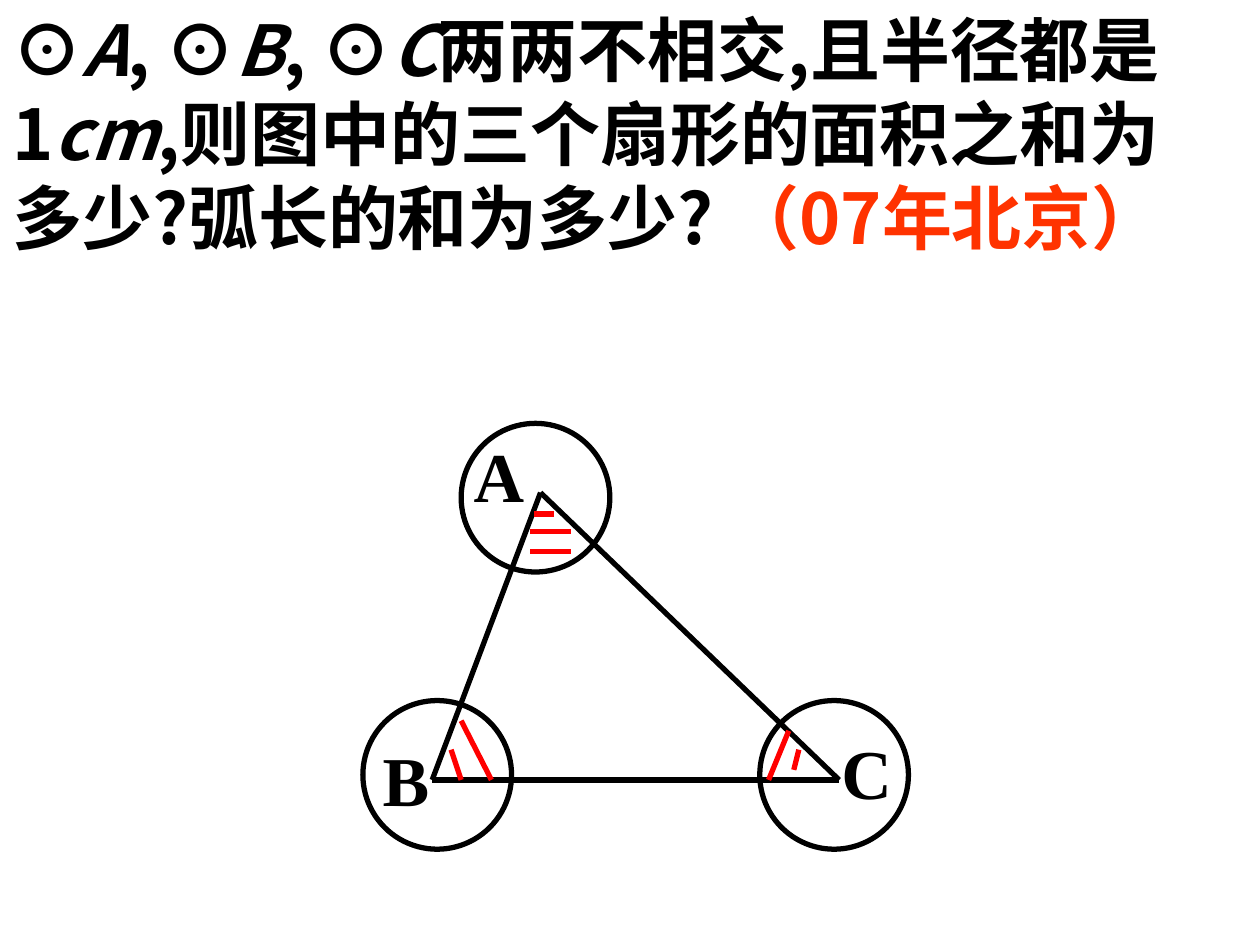
from typing import NamedTuple

import pptx
import pptx.dml.color
import pptx.enum.shapes
import pptx.enum.text
import pptx.oxml
import pptx.oxml.ns
import pptx.util
from pptx.util import Inches

COLORS = {"ink": "000000", "hatch": "FF0000", "source": "FF3300"}
CJK_FONT = "Noto Sans CJK SC"
LABEL_FONT = "Times New Roman"
TEXT_SIZE = 40
LINE_WIDTH = 3
DIAMETER = 1.18
LABEL_WIDTH, LABEL_HEIGHT = 0.79, 0.77


class Point(NamedTuple):
    x: float
    y: float


class Segment(NamedTuple):
    start: Point
    end: Point
    color: str


class Corner(NamedTuple):
    label: str
    vertex: Point
    circle_at: Point
    label_at: Point


class Phrase(NamedTuple):
    text: str
    italic: bool = False
    color: str = "ink"


CORNERS = [
    Corner("A", Point(4.29, 3.91), Point(3.66, 3.36), Point(3.66, 3.38)),
    Corner(" B", Point(3.43, 6.19), Point(2.88, 5.56), Point(2.8, 5.8)),
    Corner("C", Point(6.66, 6.19), Point(6.03, 5.56), Point(6.58, 5.74)),
]

HATCHES = [
    Segment(Point(4.24, 4.08), Point(4.4, 4.08), "hatch"),
    Segment(Point(4.21, 4.22), Point(4.53, 4.22), "hatch"),
    Segment(Point(4.21, 4.38), Point(4.53, 4.38), "hatch"),
    Segment(Point(3.58, 5.95), Point(3.66, 6.19), "hatch"),
    Segment(Point(3.66, 5.72), Point(3.9, 6.19), "hatch"),
    Segment(Point(6.34, 5.95), Point(6.3, 6.11), "hatch"),
    Segment(Point(6.26, 5.8), Point(6.1, 6.19), "hatch"),
]

QUESTION = [
    Phrase("⊙"),
    Phrase("A", italic=True),
    Phrase(", ⊙"),
    Phrase("B", italic=True),
    Phrase(", ⊙"),
    Phrase("C", italic=True),
    Phrase("两两不相交,且半径都是1"),
    Phrase("cm", italic=True),
    Phrase(",则图中的三个扇形的面积之和为多少?弧长的和为多少? "),
    Phrase("（07年北京）", color="source"),
]


def rgb(name: str) -> pptx.dml.color.RGBColor:
    return pptx.dml.color.RGBColor.from_string(COLORS[name])


def style_line(shape, color: str) -> None:
    shape.line.color.rgb = rgb(color)
    shape.line.width = pptx.util.Pt(LINE_WIDTH)


def style_run(r, font: str, color: str, italic: bool = False) -> None:
    r.font.name = font
    r.font.size = pptx.util.Pt(TEXT_SIZE)
    r.font.bold = True
    r.font.italic = italic
    r.font.color.rgb = rgb(color)
    ea = pptx.oxml.ns.qn("a:ea")
    r.font._element.find(pptx.oxml.ns.qn("a:latin")).addnext(
        r.font._element.makeelement(ea, {"typeface": font})
    )


def add_text_box(shapes, at: Point, width: float, height: float):
    box = shapes.add_textbox(
        Inches(at.x), Inches(at.y), Inches(width), Inches(height)
    )
    tf = box.text_frame
    tf.word_wrap = True
    tf.auto_size = pptx.enum.text.MSO_AUTO_SIZE.SHAPE_TO_FIT_TEXT
    return tf


def add_circle(shapes, corner: Corner) -> None:
    circle = shapes.add_shape(
        pptx.enum.shapes.MSO_SHAPE.OVAL,
        Inches(corner.circle_at.x),
        Inches(corner.circle_at.y),
        Inches(DIAMETER),
        Inches(DIAMETER),
    )
    circle.shadow.inherit = False
    circle.fill.background()
    style_line(circle, "ink")


def add_segment(shapes, segment: Segment) -> None:
    line = shapes.add_connector(
        pptx.enum.shapes.MSO_CONNECTOR.STRAIGHT,
        Inches(segment.start.x),
        Inches(segment.start.y),
        Inches(segment.end.x),
        Inches(segment.end.y),
    )
    style_line(line, segment.color)
    sp_pr = line._element.spPr
    sp_pr.append(sp_pr.makeelement(pptx.oxml.ns.qn("a:effectLst"), {}))


def add_label(shapes, corner: Corner) -> None:
    tf = add_text_box(shapes, corner.label_at, LABEL_WIDTH, LABEL_HEIGHT)
    tf.text = corner.label
    style_run(tf.paragraphs[0].runs[0], LABEL_FONT, "ink")


def add_diagram(s) -> None:
    shapes = s.shapes.add_group_shape().shapes
    for corner in CORNERS:
        add_circle(shapes, corner)
    for i, corner in enumerate(CORNERS):
        add_segment(shapes, Segment(CORNERS[i - 1].vertex, corner.vertex, "ink"))
    for corner in CORNERS:
        add_label(shapes, corner)
    for hatch in HATCHES:
        add_segment(shapes, hatch)


def add_question(s) -> None:
    tf = add_text_box(s.shapes, Point(0, 0), 9.69, 2.77)
    p = tf.paragraphs[0]
    p.line_spacing = pptx.util.Pt(48)
    for phrase in QUESTION:
        r = p.add_run()
        r.text = phrase.text
        style_run(r, CJK_FONT, phrase.color, phrase.italic)


def main() -> None:
    prs = pptx.Presentation()
    prs.slide_width = Inches(10)
    prs.slide_height = Inches(7.5)
    s = prs.slides.add_slide(prs.slide_layouts[6])
    add_diagram(s)
    add_question(s)
    prs.save("out.pptx")


if __name__ == "__main__":
    main()
